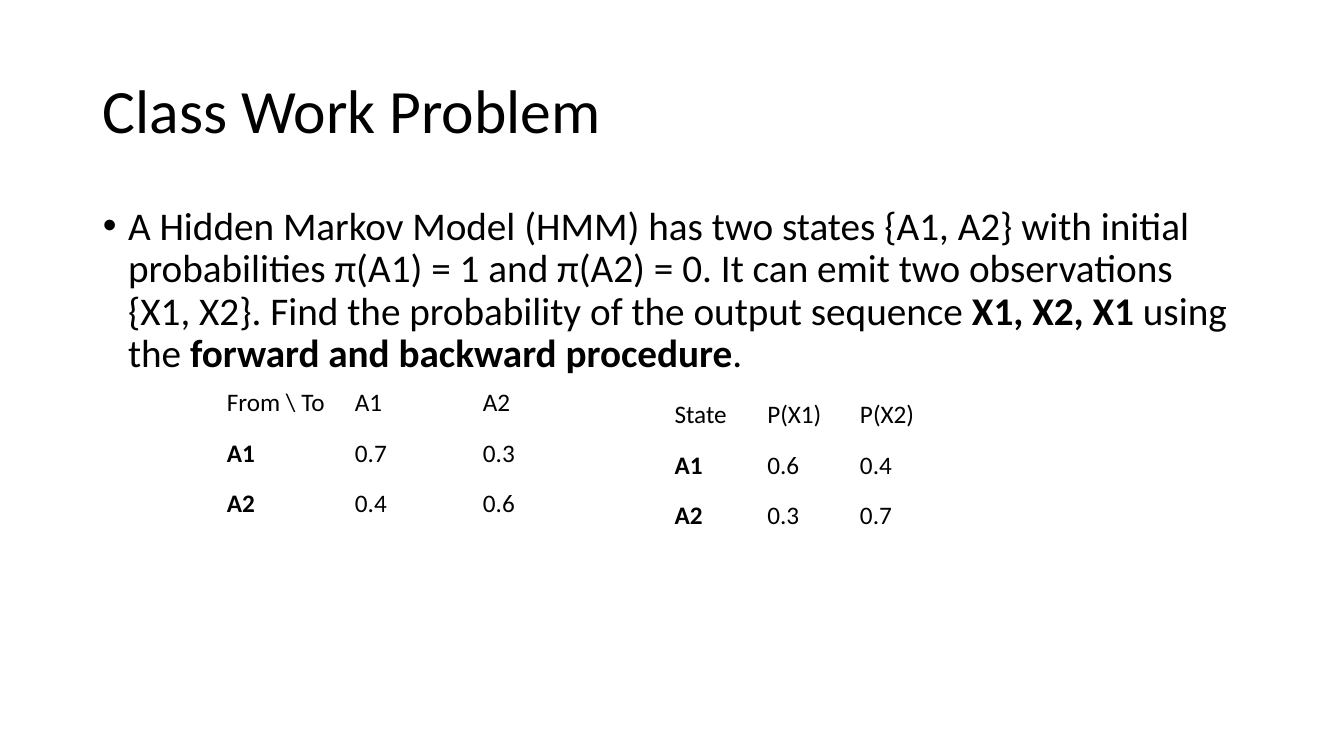
from pptx import Presentation
from pptx import util as u
from pptx.dml.color import RGBColor
from pptx.enum import text as t
from pptx.oxml import parse_xml
from pptx.oxml.ns import nsdecls

TITLE = "Class Work Problem"
TASK = [
    ("A Hidden Markov Model (HMM) has two states {A1, A2} with initial "
     "probabilities π(A1) = 1 and π(A2) = 0. It can emit two observations "
     "{X1, X2}. Find the probability of the output sequence ", False),
    ("X1, X2, X1", True),
    (" using the ", False),
    ("forward and backward procedure", True),
    (".", False),
]
MOVES = [
    ("From \\ To", "A1", "A2"),
    ("A1", "0.7", "0.3"),
    ("A2", "0.4", "0.6"),
]
EMITS = [
    ("State", "P(X1)", "P(X2)"),
    ("A1", "0.6", "0.4"),
    ("A2", "0.3", "0.7"),
]
GRIDS = [(MOVES, 2.15, 3.75, 1.27), (EMITS, 6.59, 3.87, 0.92)]
ROW = 0.5
THEME = {"font": "Calibri", "ink": RGBColor(0, 0, 0),
         "title": 44, "body": 28, "cell": 18}


def write(para, words, size, bold=False):
    run = para.add_run()
    run.text = words
    font = run.font
    font.name = THEME["font"]
    font.size = u.Pt(THEME[size])
    font.color.rgb = THEME["ink"]
    font.bold = bold


def place(shape, left, top, wide, high, anchor):
    shape.left, shape.top = u.Inches(left), u.Inches(top)
    shape.width, shape.height = u.Inches(wide), u.Inches(high)
    frame = shape.text_frame
    frame.word_wrap = True
    frame.auto_size = t.MSO_AUTO_SIZE.NONE
    frame.vertical_anchor = anchor
    para = frame.paragraphs[0]
    para.alignment = t.PP_ALIGN.LEFT
    para.line_spacing = 0.9
    para.space_before = u.Pt(0)
    return para


def bullet(para):
    props = para._p.get_or_add_pPr()
    props.set("marL", str(u.Inches(0.25)))
    props.set("indent", str(-u.Inches(0.25)))
    props.append(parse_xml(f'<a:buFont {nsdecls("a")} typeface="Arial"/>'))
    props.append(parse_xml(f'<a:buChar {nsdecls("a")} char="•"/>'))


def grid(slide, rows, left, top, wide):
    count = len(rows[0])
    frame = slide.shapes.add_table(
        len(rows), count, u.Inches(left), u.Inches(top),
        u.Inches(wide * count), u.Inches(ROW * len(rows)))
    table = frame.table
    table.first_row = table.horz_banding = False
    for col in table.columns:
        col.width = u.Inches(wide)
    for r, row in enumerate(rows):
        table.rows[r].height = u.Inches(ROW)
        for c, words in enumerate(row):
            cell = table.cell(r, c)
            cell.fill.background()
            cell.vertical_anchor = t.MSO_ANCHOR.MIDDLE
            write(cell.text_frame.paragraphs[0], words, "cell",
                  bold=r > 0 and c == 0)


def main():
    deck = Presentation()
    deck.slide_width, deck.slide_height = u.Inches(13.33), u.Inches(7.5)
    slide = deck.slides.add_slide(deck.slide_layouts[1])
    head, body = slide.placeholders
    para = place(head, 0.92, 0.4, 11.5, 1.45, t.MSO_ANCHOR.MIDDLE)
    write(para, TITLE, "title")
    para = place(body, 0.92, 2, 11.5, 4.76, t.MSO_ANCHOR.TOP)
    bullet(para)
    for words, bold in TASK:
        write(para, words, "body", bold=bold)
    for spot in GRIDS:
        grid(slide, *spot)
    deck.save("out.pptx")


if __name__ == "__main__":
    main()
